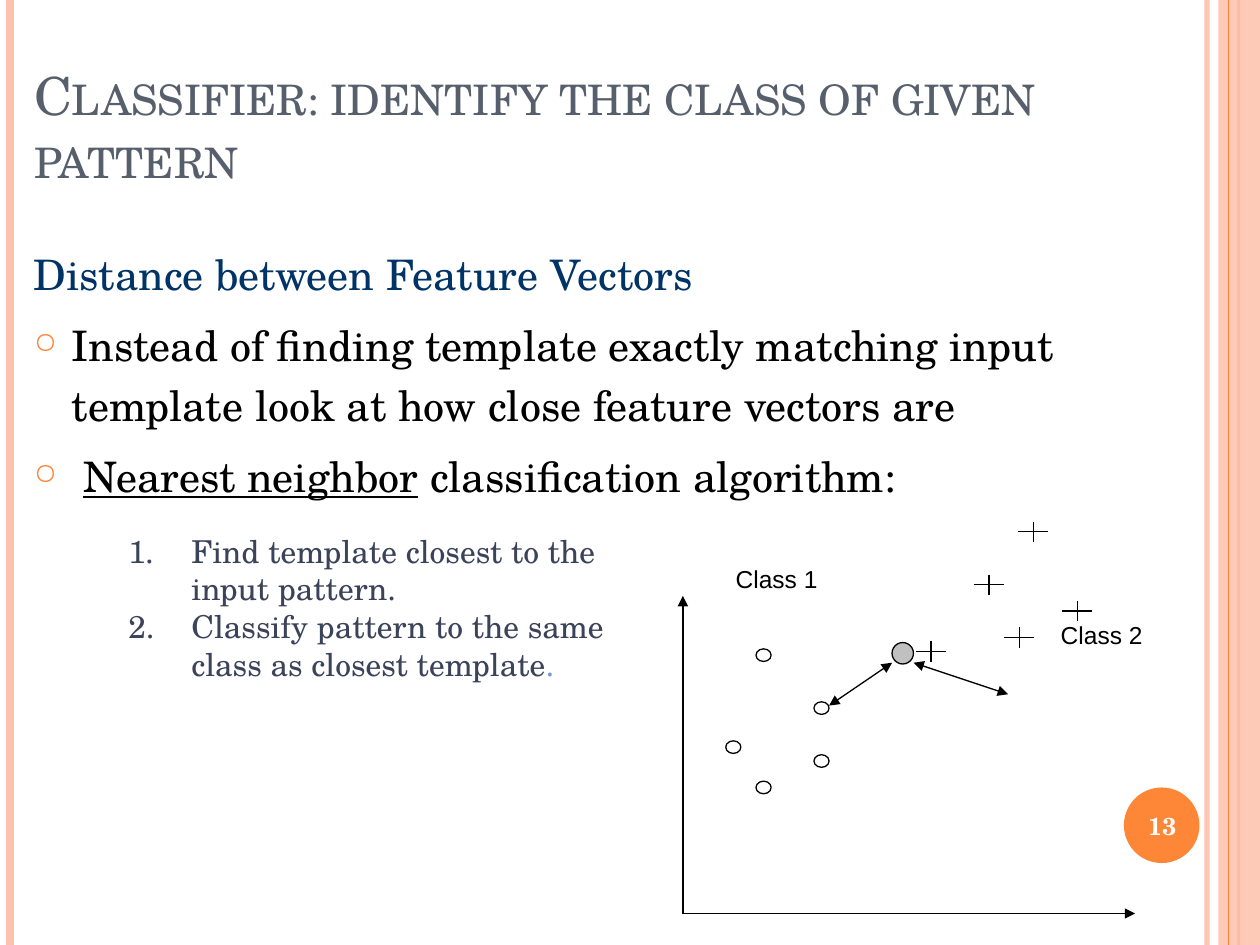
from pptx import Presentation
from pptx.dml.color import RGBColor
from pptx.enum.shapes import MSO_CONNECTOR, MSO_SHAPE
from pptx.enum.text import MSO_ANCHOR, MSO_AUTO_SIZE, PP_ALIGN
from pptx.oxml.ns import qn
from pptx.util import Inches, Pt

STRAIGHT = MSO_CONNECTOR.STRAIGHT
ELLIPSE, RECTANGLE = MSO_SHAPE.OVAL, MSO_SHAPE.RECTANGLE
TOP, MIDDLE, BOTTOM = MSO_ANCHOR.TOP, MSO_ANCHOR.MIDDLE, MSO_ANCHOR.BOTTOM
LEFT, CENTER = PP_ALIGN.LEFT, PP_ALIGN.CENTER
NO_AUTOFIT = MSO_AUTO_SIZE.NONE

SERIF, SANS = "TeX Gyre Schola", "Arial"
ORANGE, PEACH, BLACK, WHITE = "FE8637", "FEC3AE", "000000", "FFFFFF"
GRAY, NAVY, SLATE, BLUE, SILVER = "575F6D", "003366", "3B435B", "7598D9", "C0C0C0"

CIRCLES = [(6.06, 5.2), (6.52, 5.62), (6.52, 6.04), (5.82, 5.93), (6.06, 6.25)]
CROSSES = [(8.2, 4.22), (7.39, 5.17), (8.09, 5.06), (8.55, 4.85), (7.85, 4.64)]


def color(value):
    return RGBColor.from_string(value)


def add_child(parent, tag, **attributes):
    child = parent.makeelement(qn(tag), attributes)
    parent.append(child)
    return child


class SlideBuilder:
    """Draws styled elements on the current slide or group."""

    def __init__(self, slide):
        self.slide = slide
        self.shapes = slide.shapes

    def start_group(self):
        self.shapes = self.slide.shapes.add_group_shape().shapes

    def set_opacity(self, shape, percent):
        fill_color = shape._element.spPr.find(".//" + qn("a:srgbClr"))
        add_child(fill_color, "a:alpha", val=str(percent * 1000))

    def line(self, x1, y1, x2, y2, line_color=BLACK, width=0.75, head=False, tail=False):
        points = [Inches(value) for value in (x1, y1, x2, y2)]
        connector = self.shapes.add_connector(STRAIGHT, *points)
        connector.line.color.rgb = color(line_color)
        connector.line.width = Pt(width)
        outline = connector.line._get_or_add_ln()
        if head:
            add_child(outline, "a:headEnd", type="triangle")
        if tail:
            add_child(outline, "a:tailEnd", type="triangle")
        add_child(connector._element.spPr, "a:effectLst")
        return connector

    def shape(self, kind, left, top, width, height, fill=None, line_color=None):
        box = [Inches(value) for value in (left, top, width, height)]
        shape = self.shapes.add_shape(kind, *box)
        shape.shadow.inherit = False
        if fill:
            shape.fill.solid()
            shape.fill.fore_color.rgb = color(fill)
        else:
            shape.fill.background()
        if line_color:
            shape.line.color.rgb = color(line_color)
            shape.line.width = Pt(0.75)
        else:
            shape.line.fill.background()
        return shape

    def cross(self, x, y):
        self.line(x - 0.12, y, x + 0.12, y)
        self.line(x, y - 0.08, x, y + 0.08)

    def format_run(self, run, size, text_color, font=SERIF, bold=False, underline=False):
        run.font.name = font
        run.font.size = Pt(size)
        run.font.bold = bold
        run.font.underline = underline
        run.font.color.rgb = color(text_color)

    def title(self, text, left, top, width, height):
        title = self.slide.shapes.title
        title.left, title.top = Inches(left), Inches(top)
        title.width, title.height = Inches(width), Inches(height)
        frame = title.text_frame
        frame.text = text
        frame.auto_size = NO_AUTOFIT
        frame.vertical_anchor = BOTTOM
        paragraph = frame.paragraphs[0]
        paragraph.alignment = LEFT
        run = paragraph.runs[0]
        self.format_run(run, 30, GRAY)
        run.font._element.set("cap", "small")

    def text_box(self, left, top, width, height, wrap=True, anchor=TOP):
        box = [Inches(value) for value in (left, top, width, height)]
        frame = self.shapes.add_textbox(*box).text_frame
        frame.word_wrap = wrap
        frame.vertical_anchor = anchor
        return frame

    def label(self, text, left, top, width, height, text_color=BLACK, font=SANS,
              bold=False, wrap=False, anchor=TOP, alignment=LEFT):
        frame = self.text_box(left, top, width, height, wrap, anchor)
        frame.text = text
        paragraph = frame.paragraphs[0]
        paragraph.alignment = alignment
        self.format_run(paragraph.runs[0], 14, text_color, font, bold)

    def paragraphs(self, frame, items, size, margin, hanging, spacing=1.0, before=0):
        for index, (bullet, runs) in enumerate(items):
            paragraph = frame.add_paragraph() if index else frame.paragraphs[0]
            paragraph.line_spacing = spacing
            paragraph.space_before = Pt(before)
            for text, text_color, underline in runs:
                run = paragraph.add_run()
                run.text = text
                self.format_run(run, size, text_color, underline=underline)
            properties = paragraph._p.get_or_add_pPr()
            properties.set("marL", str(Inches(margin)))
            properties.set("indent", str(-Inches(hanging)))
            if bullet == "number":
                add_child(properties, "a:buAutoNum", type="arabicPeriod")
            elif bullet:
                add_child(add_child(properties, "a:buClr"), "a:srgbClr", val=ORANGE)
                add_child(properties, "a:buSzPct", val="70000")
                add_child(properties, "a:buChar", char=bullet)
            else:
                add_child(properties, "a:buNone")


def draw_frame(builder):
    builder.set_opacity(builder.line(9.58, 0, 9.58, 7.5, PEACH, 3), 93)
    builder.line(0.08, 0, 0.08, 7.5, PEACH, 4.5)
    builder.line(9.83, 0, 9.83, 7.5, ORANGE, 1.5)
    builder.set_opacity(builder.shape(RECTANGLE, 9.67, 0, 0.33, 7.5, PEACH), 87)
    builder.line(9.75, 0, 9.75, 7.5, ORANGE)
    builder.shape(ELLIPSE, 8.92, 6.25, 0.6, 0.6, ORANGE)
    builder.label("13", 8.89, 6.27, 0.67, 0.57, WHITE, SERIF, True, True, MIDDLE, CENTER)


def draw_text(builder):
    builder.title("Classifier: identify the class of given pattern", 0.17, 0.3, 8.17, 1.25)
    builder.paragraphs(builder.text_box(0.17, 1.84, 9.33, 2.91), [
        (None, [("Distance between Feature Vectors", NAVY, False)]),
        ("○", [("Instead of finding template exactly matching input template "
                "look at how close feature vectors are", BLACK, False)]),
        ("○", [(" ", BLACK, False), ("Nearest neighbor", BLACK, True),
               (" classification algorithm:", BLACK, False)]),
    ], 24, 0.3, 0.3, 1.2, 6)
    builder.paragraphs(builder.text_box(0.42, 4.17, 4.58, 1.3), [
        ("number", [("Find template closest to the input pattern.", SLATE, False)]),
        ("number", [("Classify pattern to the same class as closest template", SLATE, False),
                    (".", BLUE, False)]),
    ], 18, 1, 0.5)


def draw_diagram(builder):
    builder.start_group()
    builder.line(5.42, 7.25, 5.42, 4.73, tail=True)
    builder.line(5.42, 7.25, 9.01, 7.25, tail=True)
    for x, y in CIRCLES:
        builder.shape(ELLIPSE, x - 0.06, y - 0.05, 0.12, 0.1, line_color=BLACK)
    for x, y in CROSSES:
        builder.cross(x, y)
    builder.label("Class 1", 5.74, 4.43, 0.85, 0.33)
    builder.label("Class 2", 8.32, 4.87, 0.85, 0.33)
    builder.shape(ELLIPSE, 7.08, 5.1, 0.17, 0.17, SILVER, BLACK)
    builder.line(6.58, 5.6, 7.08, 5.26, head=True, tail=True)
    builder.line(7.25, 5.26, 8, 5.51, head=True, tail=True)


def main():
    presentation = Presentation()
    presentation.slide_width, presentation.slide_height = Inches(10), Inches(7.5)
    builder = SlideBuilder(presentation.slides.add_slide(presentation.slide_layouts[5]))
    draw_frame(builder)
    draw_text(builder)
    draw_diagram(builder)
    presentation.save("out.pptx")


if __name__ == "__main__":
    main()
